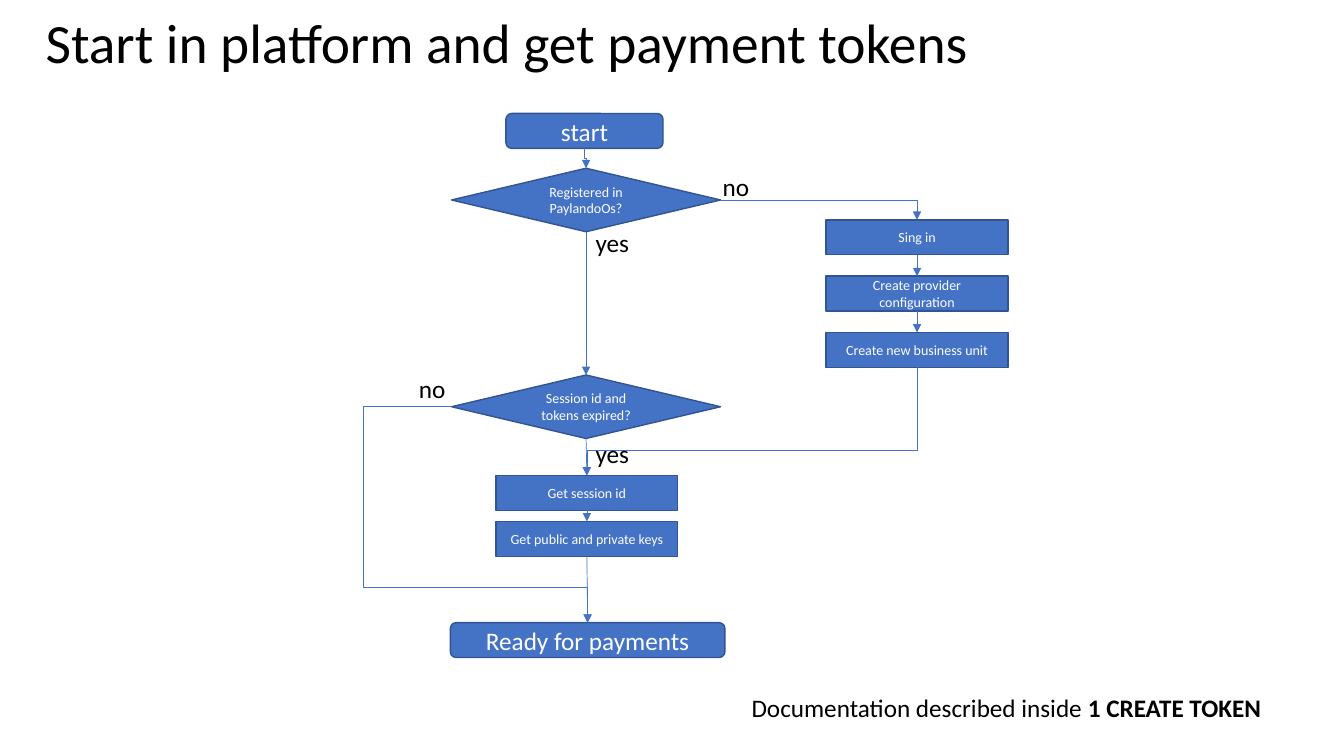
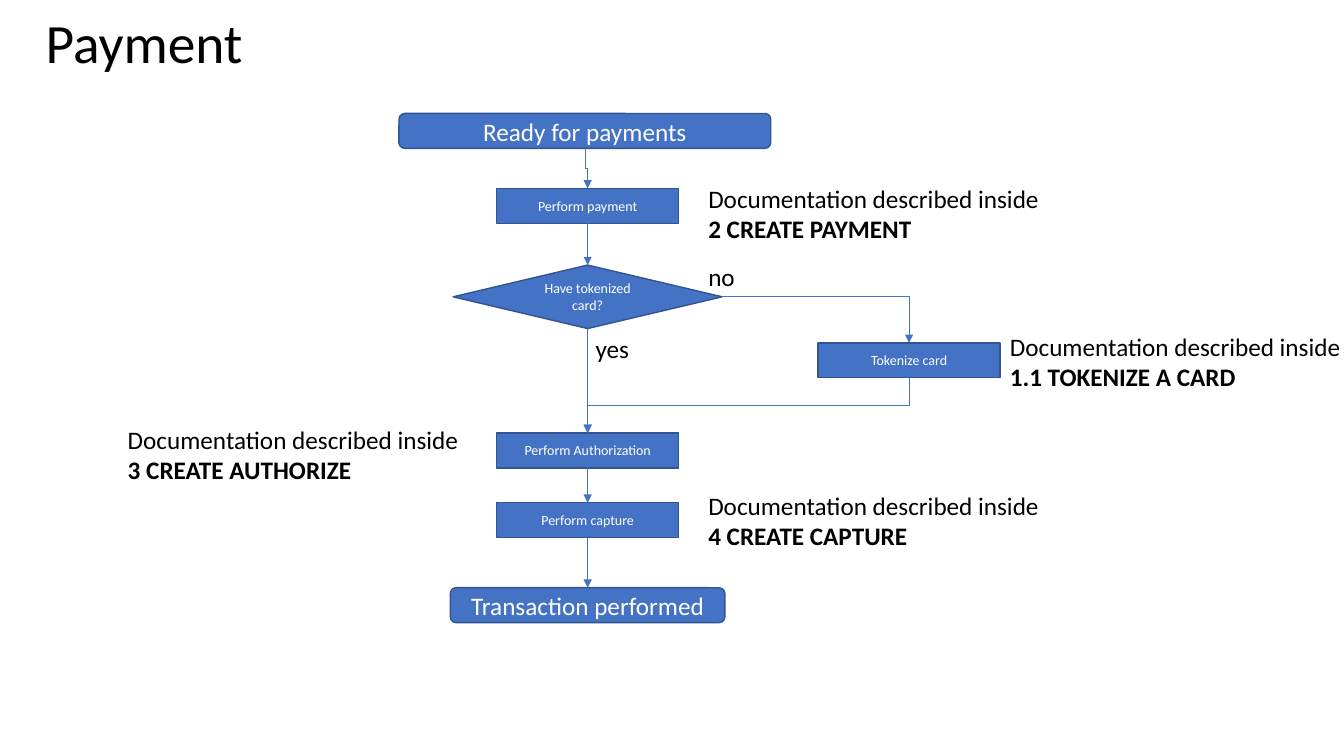
from pptx import Presentation
from pptx import util as u
from pptx.dml.color import RGBColor
from pptx.enum import shapes, text
from pptx.oxml import ns, xmlchemy

FONT = "Calibri"
BLUE, BORDER, BLACK, WHITE = "4472C4", "325491", "000000", "FFFFFF"
TITLE_SIZE, LARGE, SMALL = 39.6, 18, 10
BOX_HEIGHT = 0.88
DOCUMENTATION = "Documentation described inside "

KINDS = {
    "process": (shapes.MSO_SHAPE.RECTANGLE, 4.58, BOX_HEIGHT, SMALL),
    "decision": (shapes.MSO_SHAPE.DIAMOND, 6.78, 1.6, SMALL),
    "terminal": (shapes.MSO_SHAPE.ROUNDED_RECTANGLE, 6.92, BOX_HEIGHT, LARGE),
}
TOP, LEFT, BOTTOM, RIGHT = range(4)
ROUTES = {
    "straight": ("line", BOTTOM),
    "corner": ("bentConnector2", RIGHT),
    "step": ("bentConnector3", BOTTOM),
    "detour": ("bentConnector4", LEFT),
}

SLIDES = [
    {
        "title": "Start in platform and get payment tokens",
        "nodes": [
            ("start", "terminal", "start", 14.73, 2.86, 3.96),
            ("registered", "decision", "Registered in PaylandoOs?", 14.77, 4.24, None),
            ("sign in", "process", "Sing in", 23.11, 5.54, None),
            ("provider", "process", "Create provider configuration", 23.11, 6.96, None),
            ("unit", "process", "Create new business unit", 23.11, 8.38, None),
            ("expired", "decision", "Session id and tokens expired?", 14.77, 9.45, None),
            ("session", "process", "Get session id", 14.79, 11.98, None),
            ("keys", "process", "Get public and private keys", 14.79, 13.14, None),
            ("ready", "terminal", "Ready for payments", 14.81, 15.69, None),
        ],
        "edges": [
            ("start", "registered", "step", []),
            ("registered", "sign in", "corner", []),
            ("registered", "expired", "straight", []),
            ("sign in", "provider", "straight", []),
            ("provider", "unit", "straight", []),
            ("unit", "session", "step", [77200]),
            ("expired", "session", "straight", []),
            ("session", "keys", "straight", []),
            ("keys", "ready", "straight", []),
            ("expired", "ready", "detour", [-64900, 83600]),
        ],
        "labels": [
            ("no", 17.96, 4.19),
            ("yes", 14.76, 5.61),
            ("no", 10.31, 9.27),
            ("yes", 14.76, 10.92),
        ],
        "notes": [("1 CREATE TOKEN", 18.69, 17.32, 15.1)],
    },
    {
        "title": "Payment",
        "nodes": [
            ("ready", "terminal", "Ready for payments", 14.74, 2.86, 9.37),
            ("payment", "process", "Perform payment", 14.81, 4.75, None),
            ("tokenized", "decision", "Have tokenized card?", 14.81, 6.68, None),
            ("tokenize", "process", "Tokenize card", 22.91, 8.64, None),
            ("authorize", "process", "Perform Authorization", 14.81, 10.91, None),
            ("capture", "process", "Perform capture", 14.81, 12.67, None),
            ("done", "terminal", "Transaction performed", 14.81, 14.81, None),
        ],
        "edges": [
            ("ready", "payment", "step", []),
            ("payment", "tokenized", "straight", []),
            ("tokenized", "tokenize", "corner", []),
            ("tokenized", "authorize", "straight", []),
            ("tokenize", "authorize", "step", []),
            ("authorize", "capture", "straight", []),
            ("capture", "done", "straight", []),
        ],
        "labels": [("no", 17.6, 6.45), ("yes", 14.76, 8.28)],
        "notes": [
            ("2 CREATE PAYMENT", 17.6, 4.5, 8.97),
            ("1.1 TOKENIZE A CARD", 25.2, 8.23, 9.4),
            ("3 CREATE AUTHORIZE", 2.97, 10.57, 9.27),
            ("4 CREATE CAPTURE", 17.6, 12.22, 8.97),
        ],
    },
]


def write(shape, runs, size, color, align=text.PP_ALIGN.LEFT):
    frame = shape.text_frame
    frame.word_wrap = True
    paragraph = frame.paragraphs[0]
    paragraph.alignment = align
    for words, bold in runs:
        run = paragraph.add_run()
        run.text = words
        run.font.name = FONT
        run.font.size = u.Pt(size)
        run.font.bold = bold
        run.font.color.rgb = RGBColor.from_string(color)
    return frame


def connect(slide, source, target, route, bends):
    preset, site = ROUTES[route]
    connector = slide.shapes.add_connector(shapes.MSO_CONNECTOR.STRAIGHT, 0, 0, 0, 0)
    connector.begin_connect(source, site)
    connector.end_connect(target, TOP)
    connector.line.color.rgb = RGBColor.from_string(BLUE)
    connector.line.width = u.Pt(0.5)

    properties = connector._element.spPr
    frame = properties.find(ns.qn("a:xfrm"))
    if route == "step":
        across = connector.end_x - connector.begin_x
        down = connector.end_y - connector.begin_y
        middle_x = (connector.begin_x + connector.end_x) // 2
        middle_y = (connector.begin_y + connector.end_y) // 2
        connector.left = middle_x - down // 2
        connector.top = middle_y - abs(across) // 2
        connector.width, connector.height = down, abs(across)
        frame.set("rot", str((90 if across < 0 else 270) * 60000))
        frame.set("flipH", "0" if across < 0 else "1")
    elif route == "detour":
        frame.set("rot", str(180 * 60000))
        frame.set("flipH", "1")
        frame.set("flipV", "1")

    geometry = properties.find(ns.qn("a:prstGeom"))
    geometry.set("prst", preset)
    for number, bend in enumerate(bends, 1):
        guide = xmlchemy.OxmlElement("a:gd")
        guide.set("name", f"adj{number}")
        guide.set("fmla", f"val {bend}")
        geometry.find(ns.qn("a:avLst")).append(guide)

    arrowhead = xmlchemy.OxmlElement("a:tailEnd")
    arrowhead.set("type", "triangle")
    properties.find(ns.qn("a:ln")).append(arrowhead)
    properties.append(xmlchemy.OxmlElement("a:effectLst"))


presentation = Presentation()
presentation.slide_width = u.Cm(33.87)
presentation.slide_height = u.Cm(19.05)

for content in SLIDES:
    slide = presentation.slides.add_slide(presentation.slide_layouts[6])

    title = slide.shapes.add_textbox(u.Cm(0.9), u.Cm(0.7), u.Cm(30.63), u.Cm(0.9))
    frame = write(title, [(content["title"], False)], TITLE_SIZE, BLACK)
    frame.vertical_anchor = text.MSO_ANCHOR.MIDDLE
    frame.paragraphs[0].line_spacing = 0.9

    nodes = {}
    for name, kind, words, center, top, own_width in content["nodes"]:
        preset, width, height, size = KINDS[kind]
        width = own_width or width
        shape = slide.shapes.add_shape(
            preset, u.Cm(center - width / 2), u.Cm(top), u.Cm(width), u.Cm(height)
        )
        shape.shadow.inherit = False
        shape.fill.solid()
        shape.fill.fore_color.rgb = RGBColor.from_string(BLUE)
        shape.line.color.rgb = RGBColor.from_string(BORDER)
        shape.line.width = u.Pt(1)
        frame = write(shape, [(words, False)], size, WHITE, text.PP_ALIGN.CENTER)
        frame.vertical_anchor = text.MSO_ANCHOR.MIDDLE
        nodes[name] = shape

    for source, target, route, bends in content["edges"]:
        connect(slide, nodes[source], nodes[target], route, bends)

    for words, left, top in content["labels"]:
        label = slide.shapes.add_textbox(u.Cm(left), u.Cm(top), u.Cm(1.45), u.Cm(1.02))
        write(label, [(words, False)], LARGE, BLACK)

    for chapter, left, top, width in content["notes"]:
        note = slide.shapes.add_textbox(u.Cm(left), u.Cm(top), u.Cm(width), u.Cm(1.02))
        write(note, [(DOCUMENTATION, False), (chapter, True)], LARGE, BLACK)

presentation.save("out.pptx")
